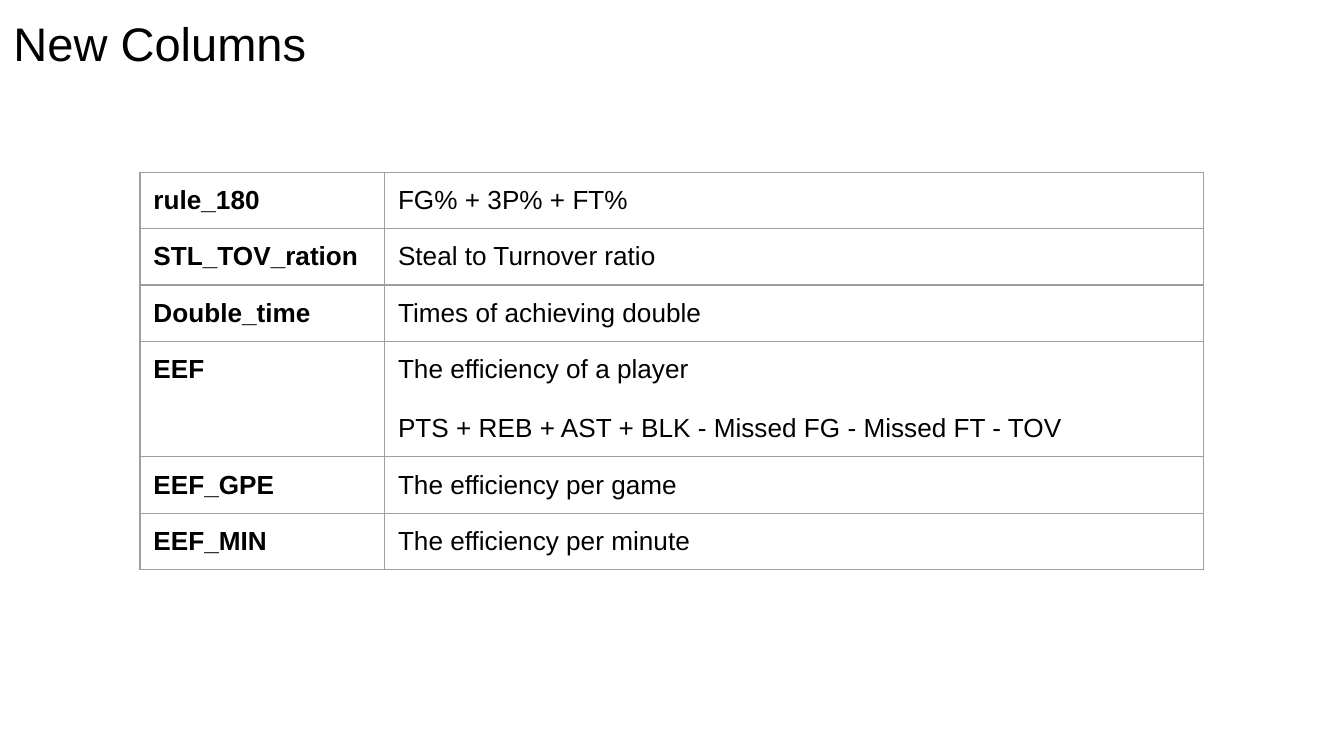
from lxml import etree
from pptx import Presentation
from pptx.dml.color import RGBColor
from pptx.enum import text
from pptx.oxml import ns
from pptx.util import Pt

BLACK = RGBColor(0x00, 0x00, 0x00)
BORDER = RGBColor(0x9E, 0x9E, 0x9E)
FONT = "Arial"
INSET = Pt(7.2)
ROW_HEIGHT = 30.24
KEY_SHARE = 0.23

COLUMNS = [
    ("rule_180", ["FG% + 3P% + FT%"]),
    ("STL_TOV_ration", ["Steal to Turnover ratio"]),
    ("Double_time", ["Times of achieving double"]),
    ("EEF", ["The efficiency of a player",
             "PTS + REB + AST + BLK - Missed FG - Missed FT - TOV"]),
    ("EEF_GPE", ["The efficiency per game"]),
    ("EEF_MIN", ["The efficiency per minute"]),
]


def add_run(paragraph, words, size, bold=False):
    """Add one formatted run to a paragraph."""
    run = paragraph.add_run()
    run.text = words
    run.font.name = FONT
    run.font.size = Pt(size)
    run.font.bold = bold
    run.font.color.rgb = BLACK


def set_insets(holder):
    """Give a cell or text frame equal margins."""
    holder.margin_left = holder.margin_right = INSET
    holder.margin_top = holder.margin_bottom = INSET


def set_borders(cell):
    """Draw a thin line on all four sides of a cell."""
    properties = cell._tc.get_or_add_tcPr()
    for position, side in enumerate(("lnL", "lnR", "lnT", "lnB")):
        line = etree.Element(ns.qn("a:" + side), w=str(Pt(0.75)))
        fill = etree.SubElement(line, ns.qn("a:solidFill"))
        etree.SubElement(fill, ns.qn("a:srgbClr"), val=str(BORDER))
        properties.insert(position, line)


def fill_cell(cell, lines, bold):
    """Write the lines of a cell, one paragraph each."""
    cell.fill.background()
    set_insets(cell)
    set_borders(cell)
    frame = cell.text_frame
    for index, words in enumerate(lines):
        paragraph = frame.add_paragraph() if index else frame.paragraphs[0]
        if index:
            paragraph.space_before = Pt(16)
        add_run(paragraph, words, 14, bold)


def place_title(slide, words, left, top, width, height):
    """Move the title placeholder into its box and fill it."""
    title = slide.shapes.title
    title.left, title.top = Pt(left), Pt(top)
    title.width, title.height = Pt(width), Pt(height)
    frame = title.text_frame
    frame.word_wrap = True
    frame.auto_size = text.MSO_AUTO_SIZE.NONE
    frame.vertical_anchor = text.MSO_ANCHOR.BOTTOM
    set_insets(frame)
    paragraph = frame.paragraphs[0]
    paragraph.alignment = text.PP_ALIGN.LEFT
    add_run(paragraph, words, 25.2)


def place_table(slide, entries, left, top, width):
    """Build the table of column names and their meanings."""
    table = slide.shapes.add_table(
        len(entries), 2, Pt(left), Pt(top),
        Pt(width), Pt(ROW_HEIGHT * len(entries))).table
    table.first_row = table.horz_banding = False
    table.columns[0].width = Pt(width * KEY_SHARE)
    table.columns[1].width = Pt(width * (1 - KEY_SHARE))
    for index, (name, meaning) in enumerate(entries):
        # A row grows by one line and one gap for each further paragraph.
        table.rows[index].height = Pt(ROW_HEIGHT + 31.4 * (len(meaning) - 1))
        fill_cell(table.cell(index, 0), [name], True)
        fill_cell(table.cell(index, 1), meaning, False)


def build():
    """Create the presentation and save it."""
    presentation = Presentation()
    presentation.slide_width, presentation.slide_height = Pt(720), Pt(405)
    slide = presentation.slides.add_slide(presentation.slide_layouts[5])
    place_title(slide, "New Columns", 0, 0, 671, 45.4)
    place_table(slide, COLUMNS, 75, 92.2, 569.7)
    presentation.save("out.pptx")


build()
